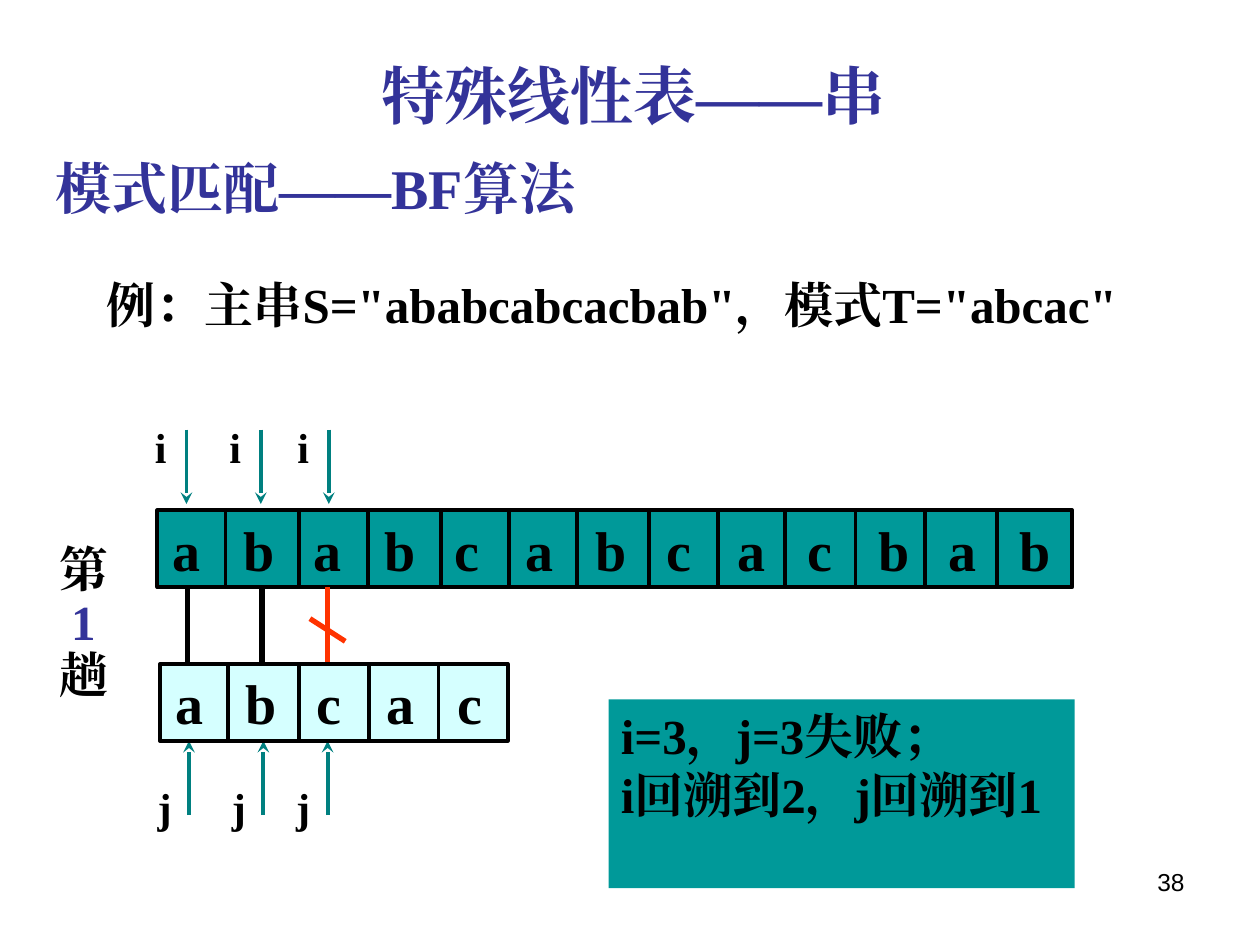
from lxml import etree
from pptx import Presentation
from pptx.dml.color import RGBColor
from pptx.enum.shapes import MSO_CONNECTOR, MSO_SHAPE
from pptx.enum.text import MSO_ANCHOR, PP_ALIGN
from pptx.oxml.ns import qn
from pptx.util import Inches, Pt

RECT = MSO_SHAPE.RECTANGLE
STRAIGHT = MSO_CONNECTOR.STRAIGHT
LEFT, RIGHT, JUSTIFY = PP_ALIGN.LEFT, PP_ALIGN.RIGHT, PP_ALIGN.JUSTIFY
TOP, MIDDLE = MSO_ANCHOR.TOP, MSO_ANCHOR.MIDDLE

BLACK, INDIGO, TEAL, ARROW_TEAL = "000000", "333399", "009999", "008080"
PALE, RED, GREY = "D5FFFF", "FF3300", "808080"
CELL_HEIGHT = 0.61
CELL_PITCH = 0.56


def color(value):
    return RGBColor.from_string(value)


def add_text_shadow(run):
    fill = run._r.get_or_add_rPr().find(qn("a:solidFill"))
    effects = etree.Element(qn("a:effectLst"))
    shadow = etree.SubElement(effects, qn("a:outerShdw"), dist="35921", dir="2700000")
    etree.SubElement(shadow, qn("a:srgbClr"), val=GREY)
    fill.addnext(effects)


def write(frame, *lines, size=28, colors=(BLACK,), bold=True, font="Times New Roman",
          align=LEFT, spacing=None, anchor=TOP, insets=(0.1, 0.05, 0.1, 0.05),
          tabs=(), shadow=False):
    """Fill a text frame with one paragraph a line; colors repeat over the lines."""
    frame.word_wrap = True
    frame.vertical_anchor = anchor
    (frame.margin_left, frame.margin_top,
     frame.margin_right, frame.margin_bottom) = map(Inches, insets)
    for number, line in enumerate(lines):
        paragraph = frame.add_paragraph() if number else frame.paragraphs[0]
        paragraph.alignment = align
        if spacing:
            paragraph.line_spacing = spacing
        if tabs:
            stops = etree.SubElement(paragraph._p.get_or_add_pPr(), qn("a:tabLst"))
            for stop in tabs:
                etree.SubElement(stops, qn("a:tab"), pos=str(Inches(stop)), algn="l")
        run = paragraph.add_run()
        run.text = line
        run.font.size = Pt(size)
        run.font.bold = bold
        run.font.name = font
        run.font.color.rgb = color(colors[number % len(colors)])
        etree.SubElement(run._r.get_or_add_rPr(), qn("a:ea"), typeface=font)
        if shadow:
            add_text_shadow(run)


class Board:
    """Draws on the slide, or on the group opened last."""

    def __init__(self, slide):
        self.slide = slide
        self.shapes = slide.shapes

    def open_group(self):
        self.shapes = self.slide.shapes.add_group_shape().shapes

    def close_group(self):
        self.shapes = self.slide.shapes

    def text(self, left, top, width, height, *lines, **style):
        box = self.shapes.add_textbox(*map(Inches, (left, top, width, height)))
        write(box.text_frame, *lines, **style)

    def panel(self, left, top, width, height, fill, *lines, outline=None, **style):
        panel = self.shapes.add_shape(RECT, *map(Inches, (left, top, width, height)))
        panel.shadow.inherit = False
        panel.fill.solid()
        panel.fill.fore_color.rgb = color(fill)
        if outline:
            panel.line.color.rgb = color(outline)
            panel.line.width = Pt(2.25)
        else:
            panel.line.fill.background()
        write(panel.text_frame, *lines, align=JUSTIFY, **style)

    def line(self, x1, y1, x2, y2, stroke=BLACK, width=2.25, arrow=False):
        line = self.shapes.add_connector(STRAIGHT, *map(Inches, (x1, y1, x2, y2)))
        line.line.color.rgb = color(stroke)
        line.line.width = Pt(width)
        if arrow:
            etree.SubElement(line.line._get_or_add_ln(), qn("a:tailEnd"), type="stealth")
        etree.SubElement(line._element.spPr, qn("a:effectLst"))

    def stroke(self, x1, y1, x2, y2, stroke, width):
        builder = self.shapes.build_freeform(Inches(x1), Inches(y1))
        builder.add_line_segments([(Inches(x2), Inches(y2))], close=False)
        mark = builder.convert_to_shape()
        mark.shadow.inherit = False
        mark.fill.background()
        mark.line.color.rgb = color(stroke)
        mark.line.width = Pt(width)

    def cells(self, left, top, width, letters, fill, dividers):
        """One boxed row of letters, parted by upright lines."""
        self.panel(left, top, width, CELL_HEIGHT, fill, "\t".join(letters),
                   outline=BLACK, size=32, anchor=MIDDLE, insets=(0.12, 0, 0.02, 0),
                   tabs=[CELL_PITCH * n for n in range(1, len(letters))])
        for x in dividers:
            self.line(x, top, x, top + CELL_HEIGHT)

    def pointer(self, x, start, end, name, name_top):
        self.line(x, start, x, end, ARROW_TEAL, arrow=True)
        self.text(x - 0.25, name_top, 0.25, 0.5, name, size=24, insets=(0, 0.05, 0, 0.05))

    def comparison(self, x, i_x, j_x, matches):
        """The link between two letters, with the pointers i above and j below."""
        self.open_group()
        self.line(x, 4.66, x, 5.28, BLACK if matches else RED, 3)
        if not matches:
            self.stroke(x - 0.14, 4.91, x + 0.14, 5.09, RED, 3)
        self.pointer(i_x, 3.41, 4, "i", 3.3)
        self.pointer(j_x, 6.47, 5.88, "j", 6.15)
        self.close_group()


def main():
    deck = Presentation()
    deck.slide_width, deck.slide_height = Inches(10), Inches(7.5)
    board = Board(deck.slides.add_slide(deck.slide_layouts[6]))

    board.text(2.93, 0.4, 4.77, 0.7, "特殊线性表——串", size=36, colors=(INDIGO,), shadow=True)
    board.text(0.34, 1.17, 8.17, 0.64, "模式匹配——BF算法", size=32, colors=(INDIGO,))
    board.text(0.75, 2.13, 8.92, 0.57, '例：主串S="ababcabcacbab"，模式T="abcac"',
               align=JUSTIFY)

    board.open_group()
    board.cells(1.25, 4.05, 7.26, "ababcabcacbab", TEAL,
                (1.79, 2.37, 2.92, 3.5, 4.04, 4.58, 5.15, 5.7, 6.23, 6.79, 7.34, 7.91))
    board.close_group()
    board.panel(4.83, 5.55, 3.7, 1.5, TEAL, "i=3，j=3失败；", "i回溯到2，j回溯到1")

    for x, i_x, j_x, matches in ((1.49, 1.48, 1.5, True),
                                 (2.08, 2.07, 2.09, True),
                                 (2.6, 2.61, 2.6, False)):
        board.comparison(x, i_x, j_x, matches)

    board.text(0.37, 4.28, 0.71, 1.36, "第", " 1", "趟",
               colors=(BLACK, INDIGO), spacing=0.9)
    board.cells(1.27, 5.27, 2.76, "abcac", PALE, (1.81, 2.37, 2.93, 3.48))
    board.text(7.17, 6.83, 2.33, 0.52, "38", size=14, bold=False, font="Arial", align=RIGHT)

    deck.save("out.pptx")


if __name__ == "__main__":
    main()
